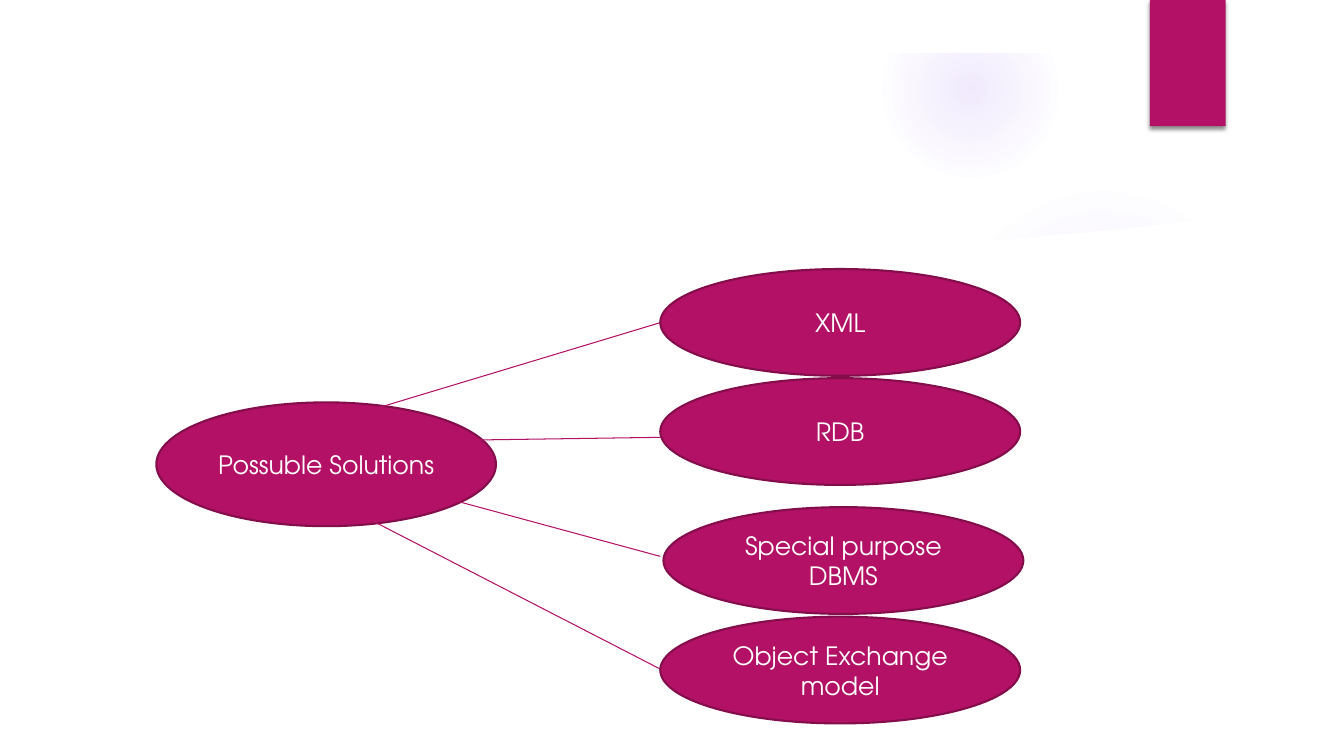
from lxml import etree
from pptx import Presentation
from pptx.dml.color import RGBColor
from pptx.enum.shapes import MSO_CONNECTOR, MSO_SHAPE as SHAPE
from pptx.enum.text import MSO_ANCHOR, PP_ALIGN
from pptx.oxml import parse_xml
from pptx.oxml.ns import nsdecls, qn
from pptx.util import Cm, Pt

MAGENTA = RGBColor(0xB3, 0x11, 0x66)
PLUM = RGBColor(0x84, 0x0D, 0x4B)
VIOLET = RGBColor(0x9B, 0x6B, 0xF2)
WHITE = RGBColor(0xFF, 0xFF, 0xFF)
BLACK = RGBColor(0, 0, 0)
FONT = "TeX Gyre Adventor"

# Glows: offset x, y, diameter, then (stop, opacity) in percent
GLOWS = [
    (23.9, 4.65, 7.82, [(0, 7), (36, 6), (69, 0)]),
    (22.23, 0.03, 4.45, [(0, 14), (36, 7), (73, 0)]),
]
# Upper edge of the white panel, right to left
PANEL_EDGE = [(32.61, 5.18), (30.48, 5.51), (28.35, 5.77), (26.21, 5.96),
              (24.1, 6.12), (22.02, 6.22), (18.64, 6.3), (14.2, 6.25),
              (10.19, 6.05), (6.32, 5.77), (3.43, 5.46), (1.27, 5.18)]
# Options: offset x, y, lines of text, line start x, y, line end y
OPTIONS = [
    (12.7, 0, ["XML"], 5.64, 3.48, 1.35),
    (12.7, 2.75, ["RDB"], 7.16, 4.32, 4.24),
    (12.78, 6, ["Special purpose", "DBMS"], 6.88, 5.66, 7.24),
    (12.7, 8.76, ["Object Exchange model"], 5.36, 6.3, 8.08 + 2.0),
]


def paint(s, fill, line=None):
    s.shadow.inherit = False
    s.fill.solid()
    s.fill.fore_color.rgb = fill
    if line is None:
        s.line.fill.background()
    else:
        s.line.color.rgb = line
        s.line.width = Pt(1.5)


def add_glow(slide, x, y, size, stops):
    s = slide.shapes.add_shape(SHAPE.OVAL, Cm(x), Cm(y), Cm(size), Cm(size))
    paint(s, VIOLET)
    stop_xml = "".join(
        f'<a:gs pos="{pos * 1000}"><a:srgbClr val="{VIOLET}">'
        f'<a:alpha val="{alpha * 1000}"/></a:srgbClr></a:gs>'
        for pos, alpha in stops)
    grad = parse_xml(
        f'<a:gradFill {nsdecls("a")}><a:gsLst>{stop_xml}</a:gsLst>'
        '<a:path path="circle"><a:fillToRect l="50000" t="50000" r="50000" '
        'b="50000"/></a:path></a:gradFill>')
    sp_pr = s.element.spPr
    sp_pr.replace(sp_pr.find(qn("a:solidFill")), grad)


def add_backdrop(slide, x, y, w, h):
    for dx, dy, size, stops in GLOWS:
        add_glow(slide, x + dx, y + dy, size, stops)
    # White panel with a curved top
    bottom = h - 1.27
    corners = [(1.27, bottom), (32.61, bottom)]
    points = [(Cm(x + px), Cm(y + py)) for px, py in PANEL_EDGE + corners]
    builder = slide.shapes.build_freeform(*points[0])
    builder.add_line_segments(points[1:], close=True)
    paint(builder.convert_to_shape(), WHITE)
    # White frame around the slide
    frame = slide.shapes.add_shape(SHAPE.FRAME, Cm(x), Cm(y), Cm(w), Cm(h))
    frame.adjustments[0] = 0.07
    paint(frame, WHITE)


def add_bookmark(slide, x, y, w, h):
    s = slide.shapes.add_shape(SHAPE.RECTANGLE, Cm(x), Cm(y), Cm(w), Cm(h))
    paint(s, MAGENTA)
    effects = s.element.spPr.find(qn("a:effectLst"))
    effects.append(parse_xml(
        f'<a:outerShdw {nsdecls("a")} blurRad="{Pt(3)}" dist="{Pt(2)}" '
        f'dir="5400000" rotWithShape="0"><a:srgbClr val="{BLACK}">'
        '<a:alpha val="45000"/></a:srgbClr></a:outerShdw>'))


def add_bubble(slide, x, y, w, h, lines):
    s = slide.shapes.add_shape(SHAPE.OVAL, Cm(x), Cm(y), Cm(w), Cm(h))
    paint(s, MAGENTA, PLUM)
    tf = s.text_frame
    tf.word_wrap = True
    tf.vertical_anchor = MSO_ANCHOR.MIDDLE
    tf.margin_left = tf.margin_right = Cm(0.1)
    for i, line in enumerate(lines):
        p = tf.add_paragraph() if i else tf.paragraphs[0]
        p.alignment = PP_ALIGN.CENTER
        r = p.add_run()
        r.text = line
        r.font.name = FONT
        r.font.size = Pt(18)
        r.font.color.rgb = WHITE


def add_link(slide, x1, y1, x2, y2):
    c = slide.shapes.add_connector(
        MSO_CONNECTOR.STRAIGHT, Cm(x1), Cm(y1), Cm(x2), Cm(y2))
    c.line.color.rgb = MAGENTA
    c.line.width = Pt(0.75)
    etree.SubElement(c.element.spPr, qn("a:effectLst"))


def add_solution_map(slide, x, y):
    add_bubble(slide, x, y + 3.36, 8.56, 3.12, ["Possuble Solutions"])
    for dx, dy, lines, x1, y1, y2 in OPTIONS:
        add_link(slide, x + x1, y + y1, x + 12.7, y + y2)
        add_bubble(slide, x + dx, y + dy, 9.07, 2.69, lines)


def main():
    prs = Presentation()
    prs.slide_width, prs.slide_height = Cm(33.87), Cm(19.05)
    slide = prs.slides.add_slide(prs.slide_layouts[6])
    add_backdrop(slide, 0, 0, 33.87, 19.05)
    add_bookmark(slide, 28.98, 0, 1.91, 3.18)
    add_solution_map(slide, 3.94, 6.78)
    prs.save("out.pptx")


if __name__ == "__main__":
    main()
